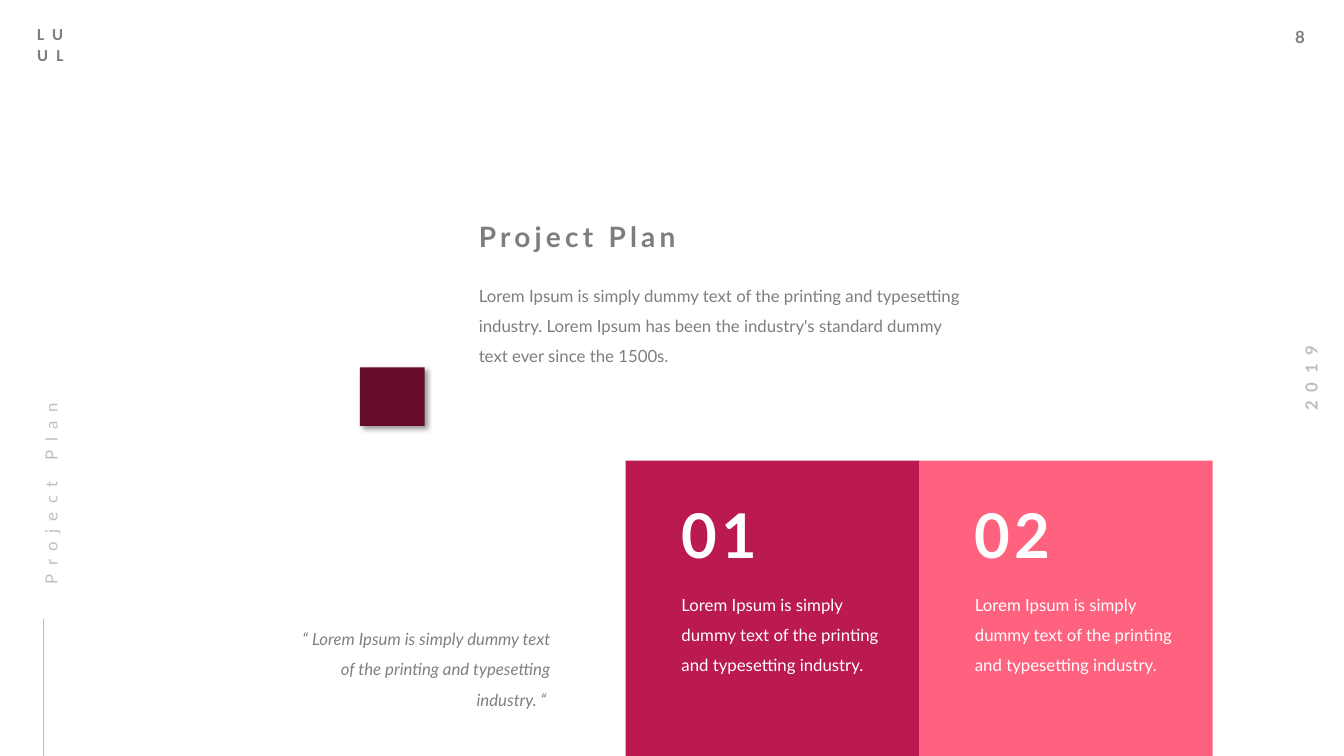
"""Build the project plan slide with two numbered cards."""
from lxml.etree import SubElement
from pptx import Presentation
from pptx.dml.color import RGBColor
from pptx.enum.shapes import MSO_CONNECTOR, MSO_SHAPE
from pptx.enum.text import MSO_ANCHOR, MSO_AUTO_SIZE, PP_ALIGN
from pptx.oxml.ns import qn
from pptx.util import Pt

GRAY = RGBColor(0x7E, 0x7E, 0x7E)
QUOTE_GRAY = RGBColor(0x80, 0x80, 0x80)
LIGHT_GRAY = RGBColor(0xBF, 0xBF, 0xBF)
WHITE = RGBColor(0xFF, 0xFF, 0xFF)
CRIMSON = RGBColor(0xBA, 0x1A, 0x51)
PINK = RGBColor(0xFF, 0x62, 0x7F)
MAROON = RGBColor(0x65, 0x0C, 0x29)

FLUSH = (0, 0, 7.2, 0)
PADDED = (7.2, 3.6, 7.2, 3.6)
CARD_LEFT, CARD_TOP, CARD_WIDTH, CARD_HEIGHT = 447, 329, 209.6, 211
CARD_INDENT = 39.8
CARD_TEXT = "Lorem Ipsum is simply dummy text of the printing and typesetting industry."
INTRO = (
    "Lorem Ipsum is simply dummy text of the printing and typesetting industry. "
    "Lorem Ipsum has been the industry's standard dummy text ever since the 1500s."
)
QUOTE = "“ Lorem Ipsum is simply dummy text of the printing and typesetting industry. “ "


def write_text(shape, text, size=12, color=GRAY, font="Lato", bold=False, italic=False,
               tracking=0, line_spacing=1.0, align=PP_ALIGN.LEFT, insets=FLUSH, wrap=True):
    """Fill a shape with formatted text, one paragraph per line."""
    frame = shape.text_frame
    frame.text = text
    frame.word_wrap = wrap
    frame.auto_size = MSO_AUTO_SIZE.SHAPE_TO_FIT_TEXT
    frame.vertical_anchor = MSO_ANCHOR.TOP
    frame.margin_left, frame.margin_top, frame.margin_right, frame.margin_bottom = map(Pt, insets)
    for paragraph in frame.paragraphs:
        paragraph.alignment = align
        paragraph.line_spacing = line_spacing
        paragraph.space_before = Pt(0)
        for run in paragraph.runs:
            run.font.name = font
            run.font.size = Pt(size)
            run.font.bold = bold
            run.font.italic = italic
            run.font.color.rgb = color
            if tracking:
                run._r.get_or_add_rPr().set("spc", str(tracking * 100))


def add_title(slide, text, left, top, width, height, **text_format):
    """Move the title placeholder into place and format it."""
    title = slide.shapes.title
    title.left, title.top, title.width, title.height = map(Pt, (left, top, width, height))
    write_text(title, text, **text_format)


def add_text(slide, text, left, top, width, height, rotation=0, **text_format):
    """Add a text box."""
    shape = slide.shapes.add_textbox(Pt(left), Pt(top), Pt(width), Pt(height))
    shape.rotation = rotation
    write_text(shape, text, **text_format)


def add_rectangle(slide, color, left, top, width, height):
    """Add a plain filled rectangle."""
    shape = slide.shapes.add_shape(
        MSO_SHAPE.RECTANGLE, Pt(left), Pt(top), Pt(width), Pt(height))
    shape.shadow.inherit = False
    shape.fill.solid()
    shape.fill.fore_color.rgb = color
    shape.line.fill.background()
    return shape


def add_shadow(shape):
    """Cast a soft black shadow down and to the right."""
    effects = shape._element.spPr.find(qn("a:effectLst"))
    shadow = SubElement(effects, qn("a:outerShdw"), blurRad=str(Pt(4)), dist=str(Pt(3)),
                        dir=str(45 * 60000), algn="tl", rotWithShape="0")
    color = SubElement(shadow, qn("a:srgbClr"), val="000000")
    SubElement(color, qn("a:alpha"), val="40000")


def add_rule(slide, left, top, bottom):
    """Add a thin vertical line."""
    rule = slide.shapes.add_connector(
        MSO_CONNECTOR.STRAIGHT, Pt(left), Pt(bottom), Pt(left), Pt(top))
    rule.line.color.rgb = LIGHT_GRAY
    rule.line.width = Pt(0.5)
    SubElement(rule._element.spPr, qn("a:effectLst"))


def add_card(slide, index, color):
    """Add one numbered card in the row at the bottom."""
    left = CARD_LEFT + index * CARD_WIDTH
    text_left = left + CARD_INDENT
    add_rectangle(slide, color, left, CARD_TOP, CARD_WIDTH, CARD_HEIGHT)
    add_text(slide, CARD_TEXT, text_left, 417.6, 160, 62.6, color=WHITE, line_spacing=1.5)
    add_text(slide, f"{index + 1:02}", text_left, 355, 75.6, 53.3,
             size=44, color=WHITE, bold=True, tracking=3)


def main():
    """Build and save the slide."""
    presentation = Presentation()
    presentation.slide_width, presentation.slide_height = Pt(960), Pt(540)
    slide = presentation.slides.add_slide(presentation.slide_layouts[5])

    add_title(slide, "Project Plan", 342, 157, 252, 24.5, size=20, bold=True, tracking=3)
    add_text(slide, "8", 918, 15.8, 29.5, 21.6, bold=True, insets=PADDED, wrap=False)
    add_text(slide, "2019", 903, 259.2, 67, 21.6, rotation=270, color=LIGHT_GRAY, bold=True,
             tracking=6, align=PP_ALIGN.CENTER, insets=PADDED, wrap=False)
    add_text(slide, "LU\nUL", 19.4, 13.7, 42.5, 36, font="Calibri", bold=True,
             tracking=6, insets=PADDED)
    add_text(slide, INTRO, 342, 196.6, 354.2, 62.6, line_spacing=1.5)
    add_rule(slide, 31, 442, 540)
    add_text(slide, "Project Plan", -42.5, 334, 147.6, 18.7, rotation=270,
             color=LIGHT_GRAY, tracking=6, line_spacing=1.5)
    for index, color in enumerate((CRIMSON, PINK)):
        add_card(slide, index, color)
    add_text(slide, QUOTE, 216, 442, 184.3, 62.6, color=QUOTE_GRAY, italic=True,
             line_spacing=1.5, align=PP_ALIGN.RIGHT)
    add_shadow(add_rectangle(slide, MAROON, 257, 262.5, 46.3, 41.8))

    presentation.save("out.pptx")


if __name__ == "__main__":
    main()
